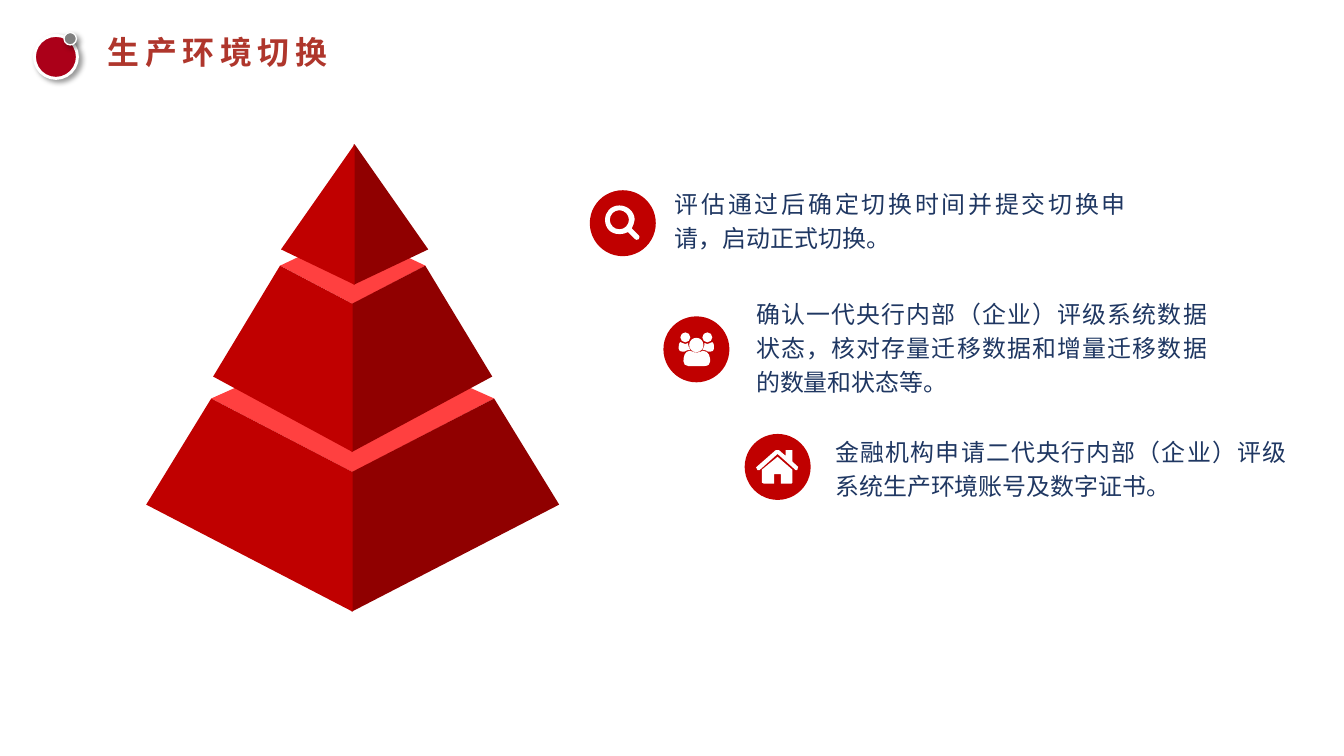
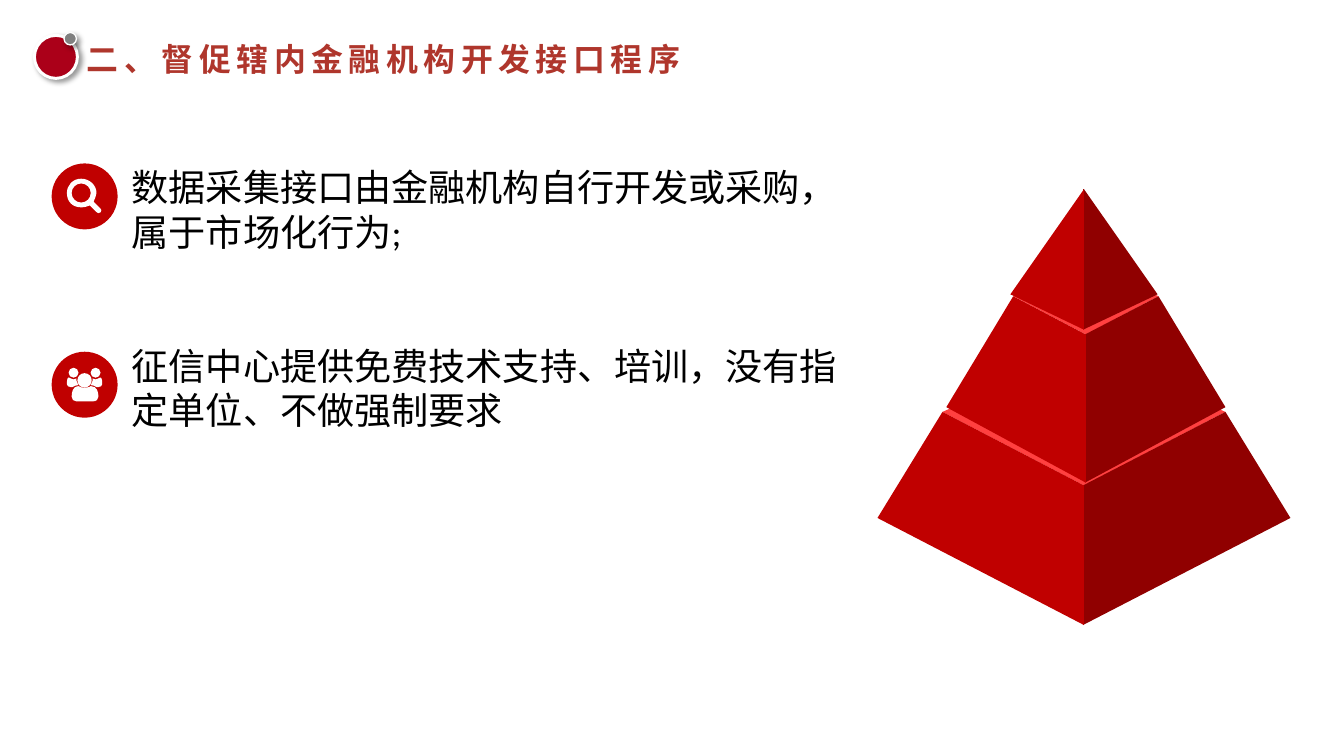
"""Build two slides on the switch of the credit rating system, each with a tiered pyramid."""
from lxml.etree import SubElement
from pptx import Presentation
from pptx.dml.color import RGBColor
from pptx.enum.shapes import MSO_SHAPE
from pptx.enum.text import PP_ALIGN
from pptx.oxml.ns import qn
from pptx.util import Inches, Pt

WHITE = RGBColor(0xFF, 0xFF, 0xFF)
BLACK = RGBColor(0, 0, 0)
NAVY = RGBColor(0x1F, 0x37, 0x62)
TITLE_RED = RGBColor(0xAF, 0x36, 0x2C)
CRIMSON = RGBColor(0xAB, 0x00, 0x19)
GREY = RGBColor(0x80, 0x80, 0x80)
LID_RED = RGBColor(0xFF, 0x40, 0x40)
LEFT_RED = RGBColor(0xC0, 0, 0)
RIGHT_RED = RGBColor(0x90, 0, 0)

CJK_FONT = "Noto Sans CJK SC"
BADGE = 0.69
SEAM = 0.01
EMBLEM = [(0.36, 0.37, 0.45, CRIMSON, 2.25), (0.67, 0.34, 0.13, GREY, 1)]

TITLE_STYLE = {
    "font": {"name": CJK_FONT, "size": Pt(24), "bold": True},
    "color": TITLE_RED, "insets": (0, 0), "paragraph": {}, "run_xml": {"spc": "420"},
}
STEP_STYLE = {
    "font": {"name": "Calibri", "size": Pt(18)},
    "color": NAVY, "insets": (0.12, 0.06),
    "paragraph": {"alignment": PP_ALIGN.JUSTIFY, "line_spacing": 1.2, "space_after": Pt(7.2)},
    "paragraph_xml": {"hangingPunct": "0"},
}
POINT_STYLE = {
    "font": {"name": "Calibri", "size": Pt(28)},
    "color": BLACK, "insets": (0.1, 0.05), "paragraph": {"space_after": Pt(67.5)},
}

TIERS = [
    {"top": 1.48, "bottom": 2.16, "levels": (3.51, 4.17, 4.94, 5.28, 6.40)},
    {"top": 0.76, "bottom": 1.46, "levels": (2.42, 2.78, 3.18, 3.94, 4.73)},
    {"top": 0, "bottom": 0.77, "levels": (1.51, 1.51, 1.51, 2.61, 2.98)},
]

SLIDES = [
    {
        "title": ("生产环境切换", (1.13, 0.34, 7.64, 0.4)),
        "pyramid": [(3.69, 0), (3.69, 0), (3.71, 0)],
        "badges": [("search", 6.17, 1.99), ("people", 6.94, 3.31), ("house", 7.79, 4.54)],
        "style": STEP_STYLE,
        "texts": [
            (["评估通过后确定切换时间并提交切换申请，启动正式切换。"], (6.94, 1.86, 4.96, 0.82)),
            (["确认一代央行内部（企业）评级系统数据状态，核对存量迁移数据和增量迁移数据的数量和状态等。"],
             (7.79, 3.01, 4.96, 1.21)),
            (["金融机构申请二代央行内部（企业）评级系统生产环境账号及数字证书。"],
             (8.62, 4.46, 4.96, 0.85)),
        ],
    },
    {
        "title": ("二、督促辖内金融机构开发接口程序", (0.91, 0.41, 8.15, 0.81)),
        "pyramid": [(11.34, 0.14), (11.36, 0.32), (11.34, 0.47)],
        "badges": [("search", 0.54, 1.71), ("people", 0.54, 3.68)],
        "style": POINT_STYLE,
        "texts": [
            (["数据采集接口由金融机构自行开发或采购，属于市场化行为;",
              "征信中心提供免费技术支持、培训，没有指定单位、不做强制要求"],
             (1.28, 1.67, 7.67, 3.23)),
        ],
    },
]


def circle(x, y, radius):
    """Return the start and control points of a circle of four curves."""
    pull = 0.55
    quarter = [(1, pull), (pull, 1), (0, 1)]
    points = [(1, 0)]
    for _ in range(4):
        points += quarter
        quarter = [(-v, u) for u, v in quarter]
    return [(x + radius * u, y + radius * v) for u, v in points]


def mirror(points):
    """Reflect points about the vertical axis."""
    return [(-x, y) for x, y in points]


HANDLED_RING = [
    (14.5, 17.5), (13.5, 17.5), (13.5, 17.5), (12.5, 16.5), (5.5, 9.5), (5.5, 9.5), (5.5, 9.5),
    (2.5, 10.5), (0.5, 11.5), (-3.5, 11.5), (-12.5, 11.5), (-18.5, 5.5), (-18.5, -3.5),
    (-18.5, -11.5), (-12.5, -18.5), (-3.5, -18.5), (5.5, -18.5), (12.5, -11.5), (12.5, -3.5),
    (12.5, -0.5), (10.5, 2.5), (9.5, 5.5), (16.5, 12.5), (16.5, 12.5), (16.5, 12.5),
    (17.5, 13.5), (17.5, 14.5), (17.5, 14.5), (17.5, 16.5), (16.5, 17.5), (14.5, 17.5)]
ARM = [
    (-12.5, 2.5), (-14.5, 2.5), (-14.5, 2.5), (-14.5, 2.5), (-16.5, 2.5), (-18.5, 1.5),
    (-18.5, -0.5), (-18.5, -2.5), (-18.5, -7.5), (-16.5, -7.5), (-15.5, -7.5), (-13.5, -5.5),
    (-11.5, -5.5), (-9.5, -5.5), (-9.5, -5.5), (-8.5, -6.5), (-8.5, -5.5), (-8.5, -5.5),
    (-8.5, -4.5), (-8.5, -3.5), (-7.5, -1.5), (-6.5, 0.5), (-8.5, 0.5), (-11.5, 1.5),
    (-12.5, 2.5)]
TORSO = [
    (8.5, 17.5), (-8.5, 17.5), (-8.5, 17.5), (-8.5, 17.5), (-11.5, 17.5), (-13.5, 15.5),
    (-13.5, 12.5), (-13.5, 8.5), (-12.5, 1.5), (-6.5, 1.5), (-5.5, 1.5), (-3.5, 3.5),
    (0.5, 3.5), (3.5, 3.5), (6.5, 1.5), (6.5, 1.5), (13.5, 1.5), (14.5, 8.5),
    (14.5, 12.5), (14.5, 15.5), (12.5, 17.5), (8.5, 17.5)]
SIDE_HEAD = circle(-11.5, -12.5, 5.2)
ROOF = [
    (20.5, 3.5), (19, 3.5), (0, -13.5), (-19, 3.5), (-21, 3.5), (-22.5, 0.5), (-2, -17.5),
    (1.5, -17.5), (8.5, -11.5), (8.5, -17.5), (15.5, -17.5), (15.5, -5.5), (21.5, 0)]
WALLS = [
    (15.5, 3), (15.5, 16.5), (14.5, 17.5), (3.5, 17.5), (3.5, 7.5), (-3.5, 7.5),
    (-3.5, 17.5), (-14.5, 17.5), (-16.5, 16.5), (-16.5, 3), (0, -10.5)]
ICONS = {
    "search": {"curved": True, "contours": [HANDLED_RING, circle(-3.5, -3.5, 10)]},
    "people": {"curved": True, "contours": [ARM, SIDE_HEAD, TORSO, circle(0, -4.5, 7.5),
                                            mirror(SIDE_HEAD), mirror(ARM)]},
    "house": {"curved": False, "contours": [ROOF, WALLS]},
}


def paint(shape, color):
    """Give a shape a plain fill, no line and no shadow."""
    shape.fill.solid()
    shape.fill.fore_color.rgb = color
    shape.line.fill.background()
    shape.shadow.inherit = False


def bend(outline):
    """Turn every three line segments of an outline into one cubic curve."""
    segments = list(outline._element.iter(qn("a:lnTo")))
    for trio in zip(*[iter(segments)] * 3):
        trio[0].tag = qn("a:cubicBezTo")
        for segment in trio[1:]:
            trio[0].append(segment[0])
            segment.getparent().remove(segment)


def add_outline(shapes, contours, color, curved=False):
    """Draw closed contours, in inches, as one freeform."""
    scaled = [[(Inches(x), Inches(y)) for x, y in contour] for contour in contours]
    builder = shapes.build_freeform(*scaled[0][0])
    builder.add_line_segments(scaled[0][1:], close=True)
    for contour in scaled[1:]:
        builder.move_to(*contour[0])
        builder.add_line_segments(contour[1:], close=True)
    outline = builder.convert_to_shape()
    paint(outline, color)
    if curved:
        bend(outline)


def add_disc(shapes, left, top, size, color):
    """Draw a filled circle."""
    disc = shapes.add_shape(MSO_SHAPE.OVAL, *map(Inches, (left, top, size, size)))
    paint(disc, color)
    return disc


def add_emblem(shapes):
    """Draw the two shadowed circles beside the title."""
    for left, top, size, color, width in EMBLEM:
        disc = add_disc(shapes, left, top, size, color)
        disc.line.color.rgb = WHITE
        disc.line.width = Pt(width)
        effects = disc._element.spPr.find(qn("a:effectLst"))
        shade = SubElement(effects, qn("a:outerShdw"), blurRad=str(Pt(4)), dist=str(Pt(3)),
                           dir="2700000", algn="tl", rotWithShape="0")
        tint = SubElement(shade, qn("a:srgbClr"), val="000000")
        SubElement(tint, qn("a:alpha"), val="40000")


def add_badge(shapes, icon, left, top):
    """Draw a red disc with a white icon in its middle."""
    badge = shapes.add_group_shape().shapes
    add_disc(badge, left, top, BADGE, LEFT_RED)
    middle_x, middle_y = left + BADGE / 2, top + BADGE / 2
    contours = [[(middle_x + x / 100, middle_y + y / 100) for x, y in contour]
                for contour in ICONS[icon]["contours"]]
    add_outline(badge, contours, WHITE, ICONS[icon]["curved"])


def add_pyramid(shapes, placements):
    """Draw each tier as a lid and two faces around its axis."""
    for tier, (axis, drop) in zip(TIERS, placements):
        back, rim, front, foot, tip = (level + drop for level in tier["levels"])
        top, bottom = tier["top"], tier["bottom"]
        if top:
            lid = [(axis - top, rim), (axis, back), (axis + top, rim), (axis, front)]
            add_outline(shapes, [lid], LID_RED)
        for side, inner, color in ((1, axis - SEAM, RIGHT_RED), (-1, axis, LEFT_RED)):
            face = [(inner, tip), (axis + side * bottom, foot), (axis + side * top, rim),
                    (inner, front)]
            add_outline(shapes, [face], color)


def add_text(shapes, paragraphs, box, style):
    """Write paragraphs in a wrapped text box."""
    frame = shapes.add_textbox(*map(Inches, box)).text_frame
    across, down = map(Inches, style["insets"])
    margins = {"word_wrap": True, "margin_left": across, "margin_right": across,
               "margin_top": down, "margin_bottom": down}
    for key, value in margins.items():
        setattr(frame, key, value)
    for i, words in enumerate(paragraphs):
        paragraph = frame.add_paragraph() if i else frame.paragraphs[0]
        run = paragraph.add_run()
        run.text = words
        for target, values in ((paragraph, style["paragraph"]), (run.font, style["font"])):
            for key, value in values.items():
                setattr(target, key, value)
        run.font.color.rgb = style["color"]
        run_xml, paragraph_xml = run._r.get_or_add_rPr(), paragraph._p.get_or_add_pPr()
        run_xml.attrib.update(style.get("run_xml", {}))
        paragraph_xml.attrib.update(style.get("paragraph_xml", {}))
        SubElement(run_xml, qn("a:ea"), typeface=CJK_FONT)


def main():
    """Build and save the slides."""
    deck = Presentation()
    deck.slide_width, deck.slide_height = Inches(14.06), Inches(7.91)
    for content in SLIDES:
        shapes = deck.slides.add_slide(deck.slide_layouts[6]).shapes
        add_emblem(shapes)
        title, title_box = content["title"]
        add_text(shapes, [title], title_box, TITLE_STYLE)
        add_pyramid(shapes, content["pyramid"])
        for badge in content["badges"]:
            add_badge(shapes, *badge)
        for paragraphs, box in content["texts"]:
            add_text(shapes, paragraphs, box, content["style"])
    deck.save("out.pptx")


if __name__ == "__main__":
    main()
